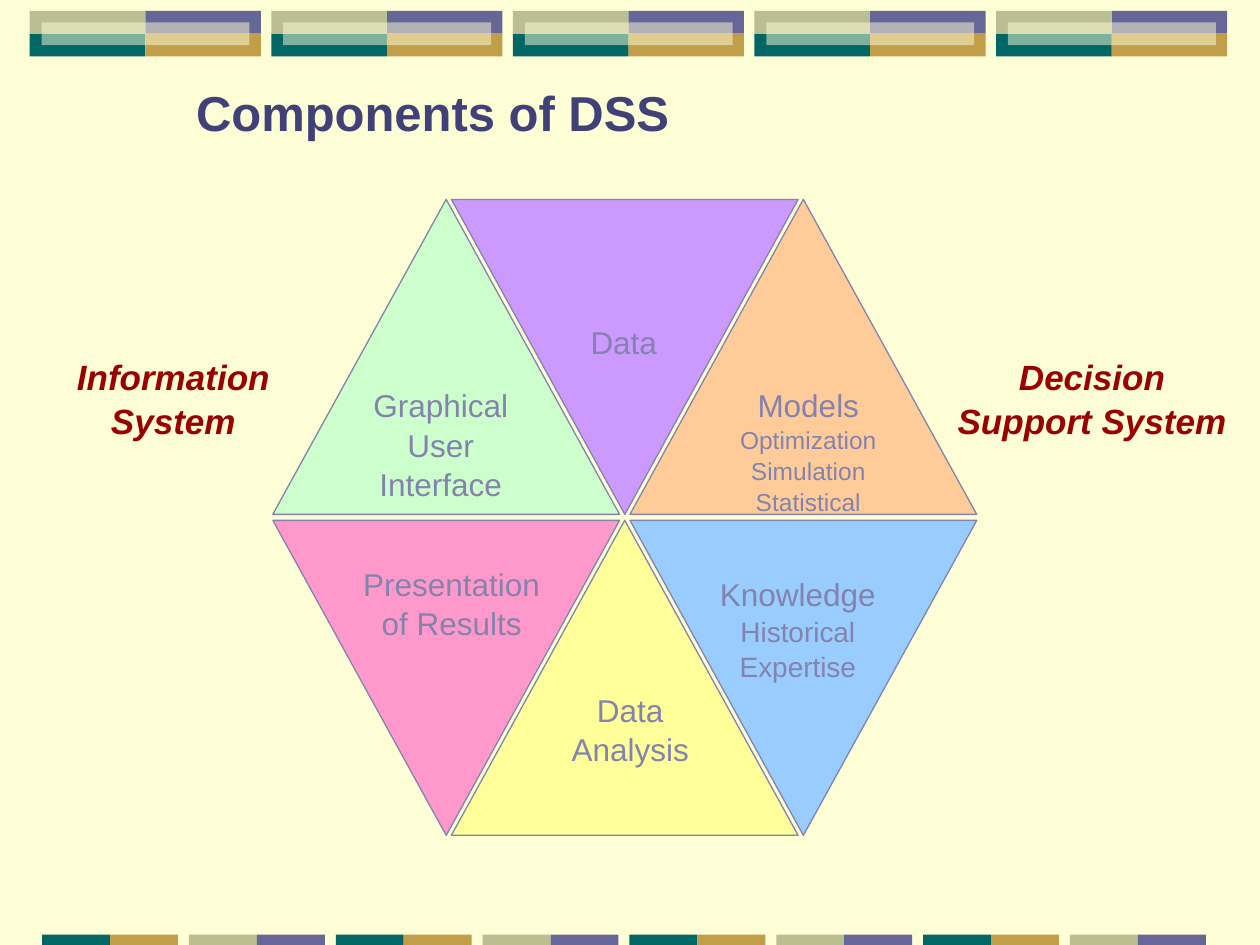
"""Build the Components of DSS slide: six triangles forming a hexagon."""
import pptx
import pptx.dml.color
import pptx.enum.shapes
import pptx.enum.text
import pptx.oxml
import pptx.oxml.ns
import pptx.util

Cm = pptx.util.Cm
Pt = pptx.util.Pt
RGBColor = pptx.dml.color.RGBColor
MSO_SHAPE = pptx.enum.shapes.MSO_SHAPE
PP_ALIGN = pptx.enum.text.PP_ALIGN

CREAM = RGBColor(0xFE, 0xFE, 0xD6)
SLATE = RGBColor(0x66, 0x66, 0x99)
GOLD = RGBColor(0xC0, 0x9E, 0x4A)
TEAL = RGBColor(0x00, 0x66, 0x66)
SAGE = RGBColor(0xBA, 0xBE, 0x90)
NAVY = RGBColor(0x40, 0x41, 0x76)
LAVENDER = RGBColor(0x83, 0x83, 0xAD)
DARK_RED = RGBColor(0x99, 0x00, 0x00)
YELLOW = RGBColor(0xFF, 0xFF, 0x99)
PURPLE = RGBColor(0xCC, 0x99, 0xFF)
ORANGE = RGBColor(0xFF, 0xCC, 0x99)
BLUE = RGBColor(0x99, 0xCC, 0xFF)
PINK = RGBColor(0xFF, 0x99, 0xCC)
GREEN = RGBColor(0xCC, 0xFF, 0xCC)

presentation = pptx.Presentation()
presentation.slide_width = Cm(25.4)
presentation.slide_height = Cm(19.05)
slide = presentation.slides.add_slide(presentation.slide_layouts[5])
slide.background.fill.solid()
slide.background.fill.fore_color.rgb = CREAM


def add_filled(kind, left, top, width, height, color):
    shape = slide.shapes.add_shape(kind, Cm(left), Cm(top), Cm(width), Cm(height))
    shape.shadow.inherit = False
    shape.fill.solid()
    shape.fill.fore_color.rgb = color
    shape.line.fill.background()
    return shape


def add_label(left, top, width, height, runs, color):
    box = slide.shapes.add_textbox(Cm(left), Cm(top), Cm(width), Cm(height))
    box.text_frame.word_wrap = True
    paragraph = box.text_frame.paragraphs[0]
    paragraph.alignment = PP_ALIGN.CENTER
    paragraph.line_spacing = 1.05
    paragraph.font.name = "Arial"
    paragraph.font.color.rgb = color
    for text, size in runs:
        run = paragraph.add_run()
        run.text = text
        run.font.size = Pt(size)
    return paragraph


TILE_WIDTH, TILE_HEIGHT = 2.33, 0.46
for index in range(5):
    left = 0.6 + 4.87 * index
    for column, row, color in ((1, 0, SLATE), (1, 1, GOLD), (0, 1, TEAL), (0, 0, SAGE)):
        add_filled(MSO_SHAPE.RECTANGLE, left + TILE_WIDTH * column,
                   0.22 + TILE_HEIGHT * row, TILE_WIDTH, TILE_HEIGHT, color)
    overlay = add_filled(MSO_SHAPE.RECTANGLE, left + 0.24, 0.45, 4.19, TILE_HEIGHT, CREAM)
    overlay_color = overlay.fill._xPr.find(".//" + pptx.oxml.ns.qn("a:srgbClr"))
    overlay_color.append(pptx.oxml.parse_xml(
        f'<a:alpha {pptx.oxml.ns.nsdecls("a")} val="50000"/>'))

for index in range(8):
    left = 0.85 + 2.96 * index
    colors = (TEAL, GOLD) if index % 2 == 0 else (SAGE, SLATE)
    for column, color in enumerate(colors):
        add_filled(MSO_SHAPE.RECTANGLE, left + 1.37 * column, 18.84, 1.37, 0.21, color)

title = slide.shapes.title
title.left, title.top, title.width, title.height = Cm(3.7), Cm(1.25), Cm(21.17), Cm(1.72)
title.text_frame.text = "Components of DSS"
title.text_frame.vertical_anchor = pptx.enum.text.MSO_ANCHOR.BOTTOM
heading = title.text_frame.paragraphs[0]
heading.alignment = PP_ALIGN.LEFT
heading.font.name = "Arial"
heading.font.size = Pt(28)
heading.font.bold = True
heading.font.color.rgb = NAVY

components = [
    (1, 1, YELLOW, (10.8, 13.76, 3.81, 1.78), [("Data Analysis", 18)]),
    (1, 0, PURPLE, (10.67, 6.35, 3.81, 1.02), [("Data", 18)]),
    (2, 0, ORANGE, (14.18, 7.62, 4.23, 2.79),
     [("Models ", 18), ("Optimization Simulation Statistical", 14)]),
    (2, 1, BLUE, (14.18, 11.43, 3.81, 2.39),
     [("Knowledge ", 18), ("Historical Expertise", 16)]),
    (0, 1, PINK, (6.99, 11.22, 4.23, 1.78), [("Presentation of Results", 18)]),
    (0, 0, GREEN, (6.77, 7.62, 4.23, 2.54), [("Graphical User Interface", 18)]),
]
for column, row, color, label_box, runs in components:
    triangle = add_filled(MSO_SHAPE.ISOSCELES_TRIANGLE, 5.5 + 3.6 * column,
                          4.02 + 6.47 * row, 6.99, 6.35, color)
    triangle.line.color.rgb = LAVENDER
    triangle.line.width = Pt(0.75)
    if (column + row) % 2 == 1:
        triangle.rotation = 180
    add_label(*label_box, runs, LAVENDER)

for left, width, text in ((1.27, 4.45, "Information System"),
                          (19.05, 5.93, "Decision Support System")):
    paragraph = add_label(left, 6.99, width, 1.96, [(text, 20)], DARK_RED)
    paragraph.font.bold = True
    paragraph.font.italic = True

presentation.save("out.pptx")
